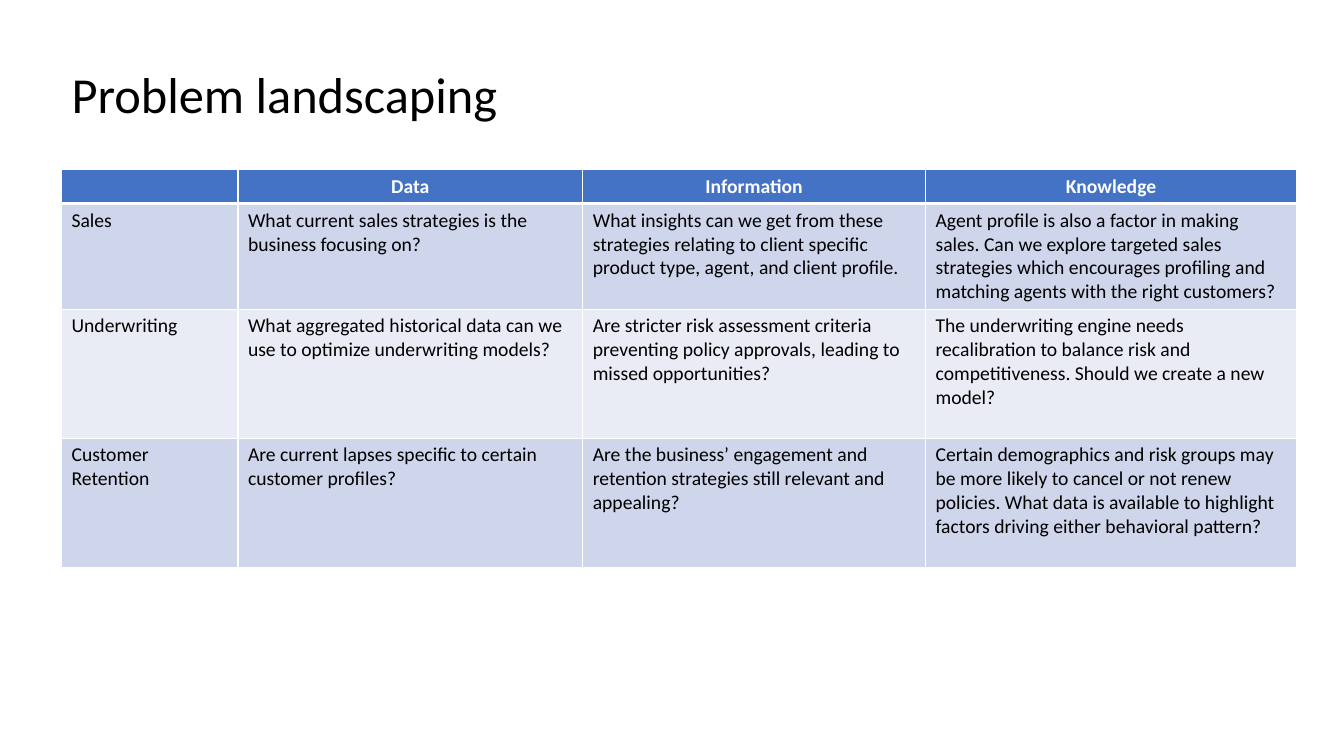
from dataclasses import dataclass

from lxml.etree import SubElement
from pptx import Presentation
from pptx.dml.color import RGBColor
from pptx.enum.text import MSO_ANCHOR, MSO_AUTO_SIZE, PP_ALIGN
from pptx.oxml.ns import qn
from pptx.util import Inches, Pt

TITLE = "Problem landscaping"
HEADINGS = ["", "Data", "Information", "Knowledge"]
AREAS = [
    [
        "Sales",
        "What current sales strategies is the business focusing on?",
        "What insights can we get from these strategies relating to client specific product type, agent, and client profile.",
        "Agent profile is also a factor in making sales. Can we explore targeted sales strategies which encourages profiling and matching agents with the right customers?",
    ],
    [
        "Underwriting",
        "What aggregated historical data can we use to optimize underwriting models?",
        "Are stricter risk assessment criteria preventing policy approvals, leading to missed opportunities?",
        "The underwriting engine needs recalibration to balance risk and competitiveness. Should we create a new model?",
    ],
    [
        "Customer Retention",
        "Are current lapses specific to certain customer profiles?",
        "Are the business’ engagement and retention strategies still relevant and appealing?",
        "Certain demographics and risk groups may be more likely to cancel or not renew policies. What data is available to highlight factors driving either behavioral pattern?",
    ],
]
COLUMN_WIDTHS = [1.75, 3.42, 3.4, 3.68]
ROW_HEIGHTS = [0.34, 1.04, 1.28, 1.28]
LEFT = 0.61
TABLE_TOP = 1.68


@dataclass(frozen=True)
class Theme:
    font: str = "Calibri"
    title_size: int = 36
    table_size: int = 14
    text: str = "000000"
    heading_text: str = "FFFFFF"
    heading_fill: str = "4472C4"
    bands: tuple = ("CFD5EA", "E9EBF5")
    border: str = "FFFFFF"
    border_width: int = 1
    heading_rule: int = 3


THEME = Theme()


def add_text(para, text, size, color, bold=False):
    span = para.add_run()
    span.text = text
    span.font.name = THEME.font
    span.font.size = Pt(size)
    span.font.bold = bold
    span.font.color.rgb = RGBColor.from_string(color)


def set_borders(cell, top, bottom):
    properties = cell._tc.get_or_add_tcPr()
    widths = {"L": THEME.border_width, "R": THEME.border_width, "T": top, "B": bottom}
    for position, (side, width) in enumerate(widths.items()):
        line = SubElement(properties, qn(f"a:ln{side}"), w=str(Pt(width)))
        fill = SubElement(line, qn("a:solidFill"))
        SubElement(fill, qn("a:srgbClr"), val=THEME.border)
        properties.insert(position, line)


def add_title(slide):
    box = slide.shapes.title
    box.left, box.top = Inches(LEFT), Inches(0.58)
    box.width, box.height = Inches(4.68), Inches(0.71)
    frame = box.text_frame
    frame.word_wrap = True
    frame.auto_size = MSO_AUTO_SIZE.NONE
    frame.vertical_anchor = MSO_ANCHOR.TOP
    para = frame.paragraphs[0]
    para.alignment = PP_ALIGN.LEFT
    add_text(para, TITLE, THEME.title_size, THEME.text)


def fill_cell(cell, text, row):
    heading = row == 0
    fill = THEME.heading_fill if heading else THEME.bands[(row - 1) % 2]
    cell.fill.solid()
    cell.fill.fore_color.rgb = RGBColor.from_string(fill)
    set_borders(
        cell,
        THEME.heading_rule if row == 1 else THEME.border_width,
        THEME.heading_rule if heading else THEME.border_width,
    )
    para = cell.text_frame.paragraphs[0]
    para.alignment = PP_ALIGN.CENTER if heading else PP_ALIGN.LEFT
    if text:
        color = THEME.heading_text if heading else THEME.text
        add_text(para, text, THEME.table_size, color, heading)
    else:
        SubElement(para._p, qn("a:endParaRPr"), sz=str(THEME.table_size * 100))


def add_landscape(slide):
    rows = [HEADINGS, *AREAS]
    table = slide.shapes.add_table(
        len(rows),
        len(HEADINGS),
        Inches(LEFT),
        Inches(TABLE_TOP),
        Inches(sum(COLUMN_WIDTHS)),
        Inches(sum(ROW_HEIGHTS)),
    ).table
    for column, width in zip(table.columns, COLUMN_WIDTHS):
        column.width = Inches(width)
    for row, (texts, height) in enumerate(zip(rows, ROW_HEIGHTS)):
        table.rows[row].height = Inches(height)
        for column, text in enumerate(texts):
            fill_cell(table.cell(row, column), text, row)


def main():
    deck = Presentation()
    deck.slide_width, deck.slide_height = Inches(13.33), Inches(7.5)
    page = deck.slides.add_slide(deck.slide_layouts[5])
    add_title(page)
    add_landscape(page)
    deck.save("out.pptx")


if __name__ == "__main__":
    main()
